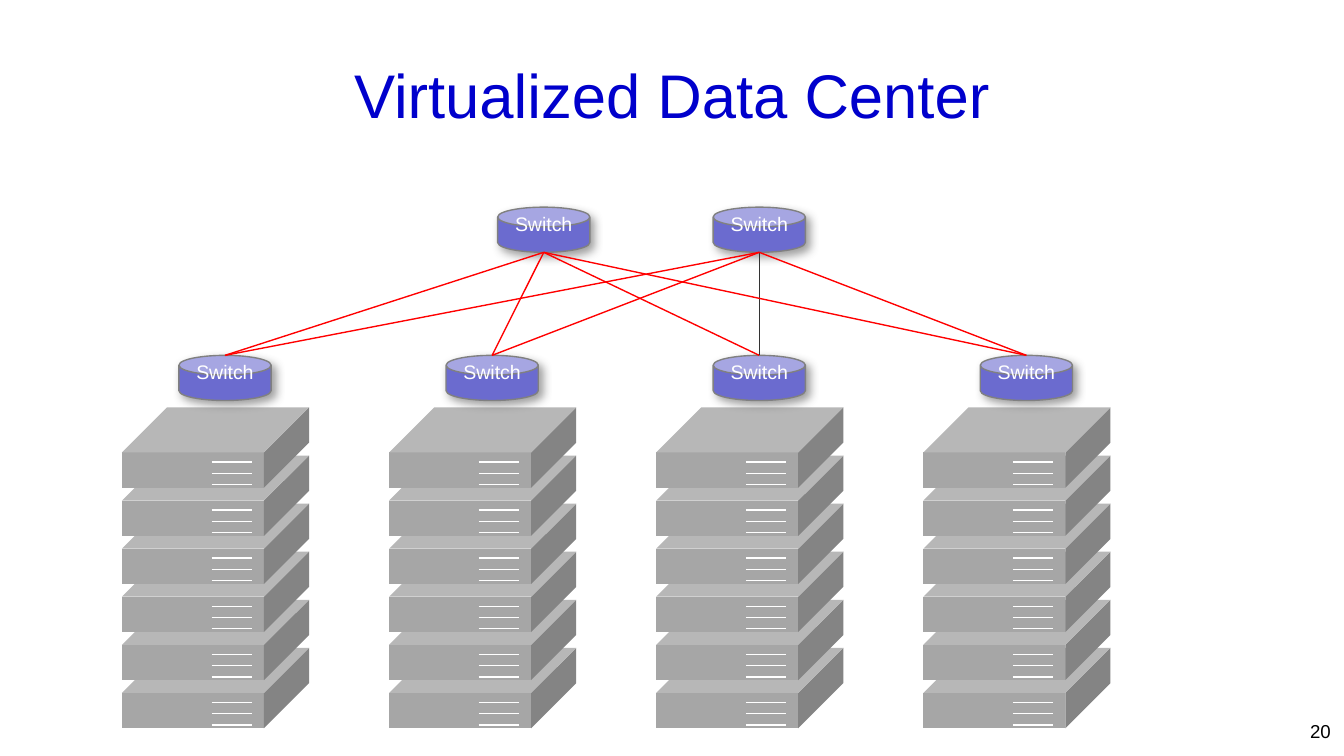
from dataclasses import dataclass
from itertools import product

from lxml.etree import SubElement
from pptx import Presentation
from pptx.dml.color import RGBColor as RGB
from pptx.enum.shapes import MSO_CONNECTOR as CONN, MSO_SHAPE as SHAPE
from pptx.enum.text import MSO_ANCHOR as ANCHOR, PP_ALIGN as ALIGN
from pptx.oxml.ns import qn
from pptx.util import Pt


@dataclass(frozen=True)
class Theme:
    """Colours, type sizes and line widths of the slide."""
    font: str = "Arial"
    title: str = "0000CC"
    text: str = "000000"
    server: str = "A6A6A6"
    switch: str = "6B6BCF"
    edge: str = "808080"
    white: str = "FFFFFF"
    link: str = "FF0000"
    plain_link: str = "333333"
    title_size: float = 33
    label_size: float = 10.5
    number_size: float = 10
    line: float = 0.75
    thin_line: float = 0.5


T = Theme()
RACKS, SERVERS, VENTS = 4, 6, 3
RACK_LEFT, RACK_TOP, RACK_PITCH = 65.35, 218.3, 143.1
SERVER_W, SERVER_H, SERVER_PITCH = 100.2, 43.1, 25.76
SWITCH_W, SWITCH_H, SWITCH_INSET = 49.4, 24.2, 30.5
CORE_TOP, EDGE_TOP, CORE_LEFTS = 111, 190.4, (266.6, 382.05)


def write(tf, text, size, color, align):
    """Set one formatted paragraph in a text frame."""
    tf.text = text
    p = tf.paragraphs[0]
    p.alignment = align
    font = p.runs[0].font
    font.name, font.size = T.font, Pt(size)
    font.color.rgb = RGB.from_string(color)


def add_line(parent, start, end, color, width=T.line):
    """Draw a straight line without a shadow."""
    line = parent.shapes.add_connector(CONN.STRAIGHT, *map(Pt, (*start, *end)))
    line.line.color.rgb = RGB.from_string(color)
    line.line.width = Pt(width)
    SubElement(line._element.spPr, qn("a:effectLst"))


def add_solid(parent, kind, box, color, adjustment):
    """Draw a filled preset shape."""
    sp = parent.shapes.add_shape(kind, *map(Pt, box))
    sp.adjustments[0] = adjustment
    sp.shadow.inherit = False
    sp.fill.solid()
    sp.fill.fore_color.rgb = RGB.from_string(color)
    return sp


def add_shadow(sp):
    """Give a shape a soft shadow to the lower right."""
    effects = sp._element.spPr.find(qn("a:effectLst"))
    shadow = SubElement(effects, qn("a:outerShdw"), blurRad=str(Pt(5)), dist=str(Pt(3)),
                        dir="2700000", algn="tl", rotWithShape="0")
    color = SubElement(shadow, qn("a:srgbClr"), val=T.edge)
    SubElement(color, qn("a:alpha"), val="75000")


def add_server(parent, x, y):
    """Draw one server with its vents."""
    cube = add_solid(parent, SHAPE.CUBE, (x, y, SERVER_W, SERVER_H), T.server, 0.561)
    cube.line.fill.background()
    for i in range(VENTS):
        vent_y = y + 29.2 + 6.05 * i
        add_line(parent, (x + 48, vent_y), (x + 69.6, vent_y), T.white)


def add_rack(s, x, y):
    """Stack servers from the bottom up."""
    rack = s.shapes.add_group_shape()
    for i in reversed(range(SERVERS)):
        add_server(rack, x, y + i * SERVER_PITCH)


def add_switch(parent, x, y):
    """Draw one labelled switch."""
    sp = add_solid(parent, SHAPE.CAN, (x, y, SWITCH_W, SWITCH_H), T.switch, 0.436)
    sp.line.color.rgb = RGB.from_string(T.edge)
    sp.line.width = Pt(T.line)
    add_shadow(sp)
    tf = sp.text_frame
    tf.word_wrap = False
    tf.vertical_anchor = ANCHOR.BOTTOM
    tf.margin_left = tf.margin_right = Pt(6.5)
    tf.margin_top, tf.margin_bottom = 0, Pt(3.8)
    write(tf, "Switch", T.label_size, T.white, ALIGN.CENTER)


def add_network(s, edge_lefts):
    """Draw both switch tiers and the links between them."""
    network = s.shapes.add_group_shape()
    for lefts, top in ((edge_lefts, EDGE_TOP), (CORE_LEFTS, CORE_TOP)):
        for x in lefts:
            add_switch(network, x, top)
    half = SWITCH_W / 2
    for edge, core in product(edge_lefts, CORE_LEFTS):
        vertical = abs(edge - core) < 1
        style = (T.plain_link, T.thin_line) if vertical else (T.link, T.line)
        add_line(network, (edge + half, EDGE_TOP), (core + half, CORE_TOP + SWITCH_H), *style)


def add_title(s, x, y, w, h):
    """Place the slide title."""
    title = s.shapes.title
    title.left, title.top, title.width, title.height = map(Pt, (x, y, w, h))
    title.text_frame.vertical_anchor = ANCHOR.MIDDLE
    write(title.text_frame, "Virtualized Data Center", T.title_size, T.title, ALIGN.CENTER)


def add_number(s, x, y, w, h):
    """Place the slide number."""
    tf = s.shapes.add_textbox(*map(Pt, (x, y, w, h))).text_frame
    tf.word_wrap = True
    write(tf, "20", T.number_size, T.text, ALIGN.RIGHT)


def main():
    """Build and save the slide."""
    prs = Presentation()
    prs.slide_width, prs.slide_height = Pt(720), Pt(405)
    s = prs.slides.add_slide(prs.slide_layouts[5])
    add_title(s, 36, 16.6, 648, 67.7)
    add_number(s, 552, 382.3, 168, 28)
    rack_lefts = [RACK_LEFT + i * RACK_PITCH for i in range(RACKS)]
    for x in rack_lefts:
        add_rack(s, x, RACK_TOP)
    add_network(s, [x + SWITCH_INSET for x in rack_lefts])
    prs.save("out.pptx")


if __name__ == "__main__":
    main()
